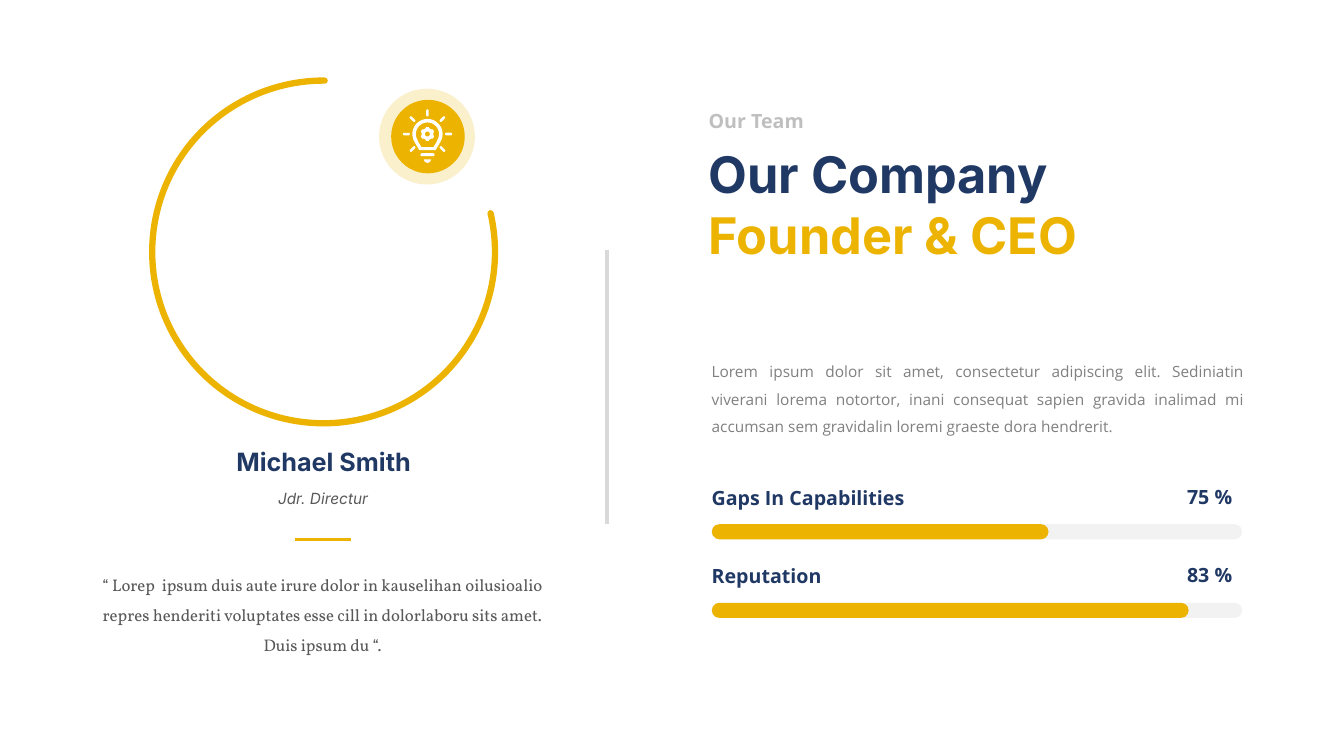
"""Builds a slide that introduces the company founder with a quote and two skill bars."""
from math import cos, radians, sin

from lxml import etree
from pptx import Presentation
from pptx.dml.color import RGBColor
from pptx.enum.shapes import MSO_CONNECTOR, MSO_SHAPE
from pptx.enum.text import MSO_ANCHOR, MSO_AUTO_SIZE, PP_ALIGN
from pptx.oxml.ns import qn
from pptx.util import Inches, Pt

LEFT, CENTER, RIGHT, JUSTIFY = PP_ALIGN.LEFT, PP_ALIGN.CENTER, PP_ALIGN.RIGHT, PP_ALIGN.JUSTIFY
TOP, NO_FIT = MSO_ANCHOR.TOP, MSO_AUTO_SIZE.NONE
ARC, PILL, OVAL = MSO_SHAPE.ARC, MSO_SHAPE.ROUNDED_RECTANGLE, MSO_SHAPE.OVAL
STRAIGHT = MSO_CONNECTOR.STRAIGHT

NAVY, GOLD, WHITE = "203864", "ECB400", "FFFFFF"
TRACK, RULE, KICKER, BODY, DARK = "F2F2F2", "D9D9D9", "BFBFBF", "808080", "595959"

INTRO = ("Lorem ipsum dolor sit amet, consectetur adipiscing elit. Sediniatin viverani lorema "
         "notortor, inani consequat sapien gravida inalimad mi accumsan sem gravidalin loremi "
         "graeste dora hendrerit.")
QUOTE = ("“ Lorep  ipsum duis aute irure dolor in kauselihan oilusioalio repres henderiti "
         "voluptates esse cill in dolorlaboru sits amet. Duis ipsum du “.")
SKILLS = [("Gaps In Capabilities", "75 %", 3.34), ("Reputation", "83 %", 4.73)]
SKILL_PITCH = 0.78
BULB_X, BULB_Y = 4.24, 1.33


def paint(color_format, hex_color):
    """Set a colour from a hex string."""
    color_format.rgb = RGBColor.from_string(hex_color)


def place(shape, left, top, width, height):
    """Move and size a shape in inches."""
    shape.left, shape.top = Inches(left), Inches(top)
    shape.width, shape.height = Inches(width), Inches(height)


def set_font(font, name, size, color, bold=False, italic=False):
    """Format a paragraph or run font."""
    font.name, font.size, font.bold, font.italic = name, Pt(size), bold, italic
    paint(font.color, color)


def add_text(slide, box, text, font, align=LEFT, spacing=1.0, wrap=True):
    """Add a one-paragraph text box; font holds the set_font arguments."""
    frame = slide.shapes.add_textbox(*map(Inches, box)).text_frame
    frame.word_wrap = wrap
    paragraph = frame.paragraphs[0]
    paragraph.text, paragraph.alignment, paragraph.line_spacing = text, align, spacing
    set_font(paragraph.font, *font)


def fill_flat(shape, color):
    """Give a shape a plain fill without line or shadow."""
    shape.shadow.inherit = False
    shape.fill.solid()
    paint(shape.fill.fore_color, color)
    shape.line.fill.background()


def add_filled(shapes, kind, box, color):
    """Add a filled preset shape, with full rounding for pills."""
    shape = shapes.add_shape(kind, *map(Inches, box))
    if kind == PILL:
        shape.adjustments[0] = 0.5
    fill_flat(shape, color)
    return shape


def add_rule(slide, start, end, color):
    """Add a plain straight line."""
    rule = slide.shapes.add_connector(STRAIGHT, *map(Inches, start + end))
    paint(rule.line.color, color)
    rule.line.width = Pt(2.25)
    etree.SubElement(rule._element.spPr, qn("a:effectLst"))


def add_outline(shapes, *contours):
    """Add a white freeform whose further contours cut holes."""
    outlines = [[(Inches(x), Inches(y)) for x, y in contour] for contour in contours]
    builder = shapes.build_freeform(*outlines[0][0])
    builder.add_line_segments(outlines[0][1:])
    for outline in outlines[1:]:
        builder.move_to(*outline[0])
        builder.add_line_segments(outline[1:])
    fill_flat(builder.convert_to_shape(), WHITE)


def polar(radius, angle, y=BULB_Y):
    """Return a point around the bulb's axis, with degrees clockwise from the right."""
    return BULB_X + radius * cos(radians(angle)), y + radius * sin(radians(angle))


def curve(radius, start, end, y=BULB_Y):
    """Return points along a circular arc in 10 degree steps."""
    return [polar(radius, angle, y) for angle in range(start, end + 1, 10)]


def bulb_contour(radius, shoulder, neck, bottom):
    """Return a round bulb that narrows to a flat neck."""
    base = [(shoulder, bottom - 0.05), (neck, bottom)]
    right = [(BULB_X + x, y) for x, y in base]
    left = [(BULB_X - x, y) for x, y in reversed(base)]
    return curve(radius, 150, 390) + right + left


def add_idea_badge(slide):
    """Draw the light bulb badge as a group."""
    badge = slide.shapes.add_group_shape().shapes
    halo = add_filled(badge, PILL, (3.76, 0.88, 0.95, 0.95), GOLD)
    color = halo.fill._xPr.find(qn("a:solidFill"))[0]
    etree.SubElement(color, qn("a:alpha"), val="20000")
    add_filled(badge, OVAL, (3.88, 0.99, 0.73, 0.73), GOLD)

    teeth = [polar(radius, tooth + offset)
             for tooth in range(30, 390, 60)
             for radius, offset in ((0.06, -18), (0.07, -10), (0.07, 10), (0.06, 18))]
    add_outline(badge, teeth, curve(0.025, 0, 350))
    add_outline(badge, bulb_contour(0.15, 0.11, 0.08, 1.49),
                bulb_contour(0.115, 0.09, 0.06, 1.46))
    add_filled(badge, PILL, (4.17, 1.52, 0.14, 0.03), WHITE)
    add_outline(badge, curve(0.035, 0, 180, 1.58))
    for angle in range(135, 406, 45):
        x, y = polar(0.21, angle)
        ray = add_filled(badge, PILL, (x - 0.035, y - 0.0125, 0.07, 0.025), WHITE)
        ray.rotation = angle


def add_portrait_ring(slide):
    """Draw the open gold ring with round ends."""
    ring = slide.shapes.add_shape(ARC, *map(Inches, (1.51, 0.8, 3.4, 3.4)))
    ring.shadow.inherit = False
    ring.fill.background()
    ring.adjustments[0], ring.adjustments[1] = 208.17, 162.22
    paint(ring.line.color, GOLD)
    ring.line.width = Pt(4.5)
    ring.line._get_or_add_ln().set("cap", "rnd")


def add_title(slide):
    """Fill the title placeholder with its two-coloured heading."""
    title = slide.shapes.title
    place(title, 6.93, 1.37, 5.7, 1.31)
    frame = title.text_frame
    frame.word_wrap, frame.auto_size, frame.vertical_anchor = True, NO_FIT, TOP
    paragraph = frame.paragraphs[0]
    paragraph.alignment, paragraph.line_spacing = LEFT, 1.0
    company = paragraph.add_run()
    company.text = "Our Company"
    set_font(company.font, "Inter", 36, NAVY, True)
    paragraph.add_line_break()
    founder = paragraph.add_run()
    founder.text = "Founder & CEO"
    set_font(founder.font, "Inter", 36, GOLD, True)


def add_skill(slide, row, label, percent, width):
    """Add one labelled progress bar."""
    shift = row * SKILL_PITCH
    font = ("Open Sans", 14, NAVY, True)
    for length, color in ((5.26, TRACK), (width, GOLD)):
        add_filled(slide.shapes, PILL, (7.06, 5.2 + shift, length, 0.15), color)
    add_text(slide, (6.96, 4.77 + shift, 2.76, 0.34), label, font)
    add_text(slide, (11.44, 4.76 + shift, 0.88, 0.34), percent, font, RIGHT)


def main():
    """Build and save the slide."""
    deck = Presentation()
    deck.slide_width, deck.slide_height = Inches(13.33), Inches(7.5)
    slide = deck.slides.add_slide(deck.slide_layouts[5])

    add_portrait_ring(slide)
    add_title(slide)
    add_text(slide, (6.93, 1.03, 1.17, 0.34), "Our Team",
             ("Open Sans", 14, KICKER, True), wrap=False)
    add_text(slide, (6.96, 3.45, 5.48, 0.9), INTRO, ("Open Sans", 11, BODY), JUSTIFY, 1.5)
    for row, skill in enumerate(SKILLS):
        add_skill(slide, row, *skill)
    add_text(slide, (0.84, 5.55, 4.72, 0.97), QUOTE, ("Vollkorn", 12, DARK), CENTER, 1.5)
    add_text(slide, (2.21, 4.38, 2, 0.4), "Michael Smith",
             ("Inter", 18, NAVY, True), CENTER, wrap=False)
    add_text(slide, (2.65, 4.8, 1.11, 0.29), "Jdr. Directur",
             ("Inter", 11, DARK, False, True), CENTER, wrap=False)
    add_idea_badge(slide)
    add_rule(slide, (6.02, 2.48), (6.02, 5.2), RULE)
    add_rule(slide, (2.93, 5.35), (3.48, 5.35), GOLD)
    deck.save("out.pptx")


if __name__ == "__main__":
    main()
